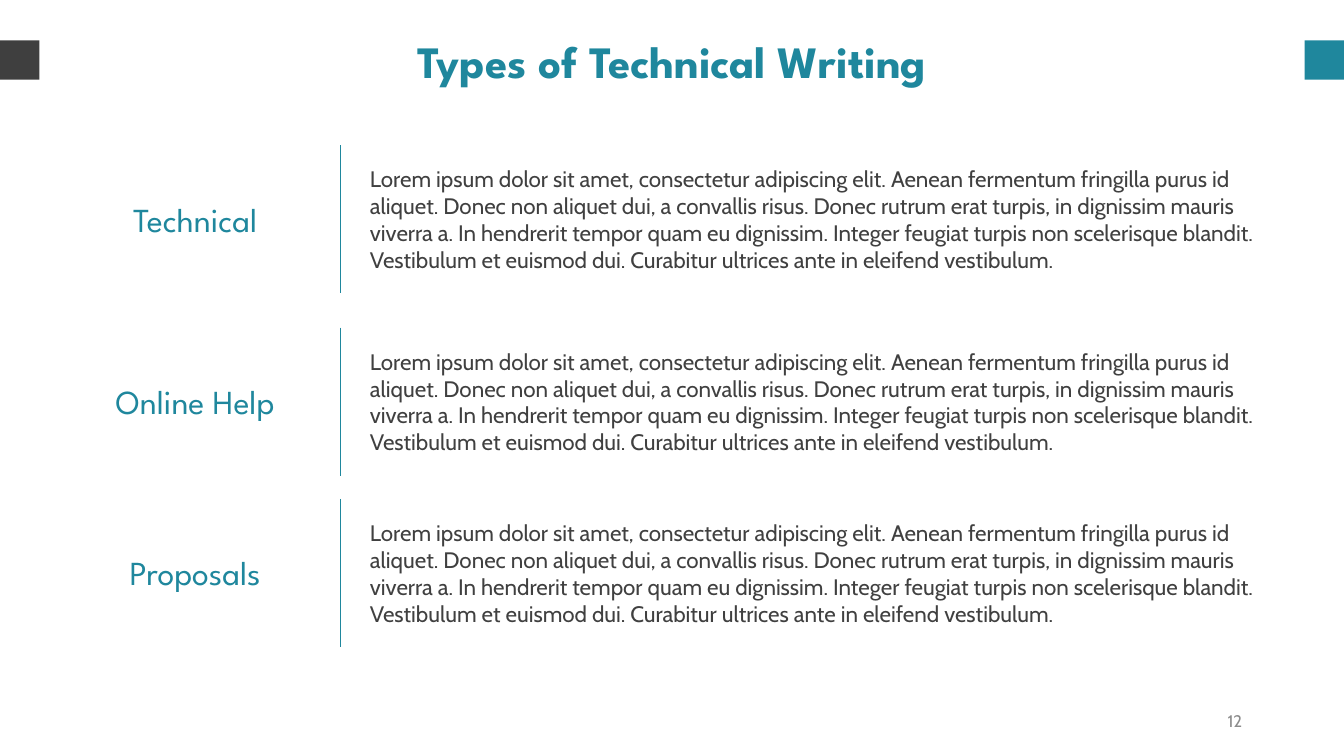
"""Build the "Types of Technical Writing" slide with three labelled descriptions."""
from dataclasses import dataclass

from pptx import Presentation, util as u
from pptx.dml.color import RGBColor
from pptx.enum import shapes, text
from pptx.oxml.ns import qn

TEAL, CHARCOAL, BODY_GREY, NUMBER_GREY = "1F879D", "3F3F3F", "404040", "8C8C8C"
HEADING_FONT, BODY_FONT = "League Spartan", "Cabin"
LEFT, CENTER, RIGHT = text.PP_ALIGN.LEFT, text.PP_ALIGN.CENTER, text.PP_ALIGN.RIGHT
SLIDE_W, SLIDE_H = 13.33, 7.5
DIVIDER_X, DIVIDER_H = 3.38, 1.47
TAB_TOP, TAB_SIZE = 0.4, 0.39
DESCRIPTION = (
    "Lorem ipsum dolor sit amet, consectetur adipiscing elit. Aenean fermentum "
    "fringilla purus id aliquet. Donec non aliquet dui, a convallis risus. Donec "
    "rutrum erat turpis, in dignissim mauris viverra a. In hendrerit tempor quam eu "
    "dignissim. Integer feugiat turpis non scelerisque blandit. Vestibulum et euismod "
    "dui. Curabitur ultrices ante in eleifend vestibulum."
)


@dataclass(frozen=True)
class Style:
    font: str
    size: int
    color: str
    align: text.PP_ALIGN
    bold: bool = False


@dataclass(frozen=True)
class WritingType:
    label: str
    top: float


@dataclass(frozen=True)
class Tab:
    left: float
    color: str


TITLE = Style(HEADING_FONT, 32, TEAL, CENTER, True)
LABEL = Style(HEADING_FONT, 24, TEAL, CENTER)
BODY = Style(BODY_FONT, 16, BODY_GREY, LEFT)
NUMBER = Style(BODY_FONT, 12, NUMBER_GREY, RIGHT)

TYPES = [
    WritingType("Technical", 1.44),
    WritingType("Online Help", 3.25),
    WritingType("Proposals", 4.95),
]
TABS = [Tab(SLIDE_W - TAB_SIZE, TEAL), Tab(0, CHARCOAL)]


def rgb(color: str) -> RGBColor:
    return RGBColor.from_string(color)


def write(sp, content: str, style: Style) -> None:
    tf = sp.text_frame
    tf.text = content
    tf.word_wrap = True
    tf.auto_size = text.MSO_AUTO_SIZE.NONE
    tf.vertical_anchor = text.MSO_ANCHOR.TOP
    tf.margin_left = tf.margin_top = tf.margin_right = tf.margin_bottom = 0
    p = tf.paragraphs[0]
    p.alignment = style.align
    font = p.runs[0].font
    font.name, font.size, font.bold = style.font, u.Pt(style.size), style.bold
    font.color.rgb = rgb(style.color)


def add_text(slide, box: tuple[float, ...], content: str, style: Style):
    sp = slide.shapes.add_textbox(*map(u.Inches, box))
    write(sp, content, style)
    return sp


def add_tab(slide, tab: Tab) -> None:
    box = (tab.left, TAB_TOP, TAB_SIZE, TAB_SIZE)
    sp = slide.shapes.add_shape(shapes.MSO_SHAPE.RECTANGLE, *map(u.Inches, box))
    sp.shadow.inherit = False
    sp.fill.solid()
    sp.fill.fore_color.rgb = rgb(tab.color)
    sp.line.fill.background()


def add_divider(slide, top: float) -> None:
    ends = (DIVIDER_X, top, DIVIDER_X, top + DIVIDER_H)
    line = slide.shapes.add_connector(shapes.MSO_CONNECTOR.STRAIGHT, *map(u.Inches, ends))
    line.line.color.rgb = rgb(TEAL)
    line.line.width = u.Pt(0.5)
    sp_pr = line._element.spPr
    sp_pr.append(sp_pr.makeelement(qn("a:effectLst"), {}))


def add_writing_type(slide, item: WritingType) -> None:
    add_text(slide, (3.67, item.top + 0.2, 8.87, 1.08), DESCRIPTION, BODY)
    add_divider(slide, item.top)
    add_text(slide, (0.79, item.top + 0.53, 2.29, 0.4), item.label, LABEL)


def main() -> None:
    prs = Presentation()
    prs.slide_width, prs.slide_height = u.Inches(SLIDE_W), u.Inches(SLIDE_H)
    slide = prs.slides.add_slide(prs.slide_layouts.get_by_name("Title Only"))

    title = slide.shapes.title
    title.left, title.top, title.width, title.height = map(u.Inches, (0.68, 0.33, 11.97, 0.54))
    write(title, "Types of Technical Writing", TITLE)

    for tab in TABS:
        add_tab(slide, tab)

    number = add_text(slide, (9.42, 6.95, 3, 0.4), "12", NUMBER)
    number.text_frame.margin_right = u.Inches(0.1)
    number.text_frame.vertical_anchor = text.MSO_ANCHOR.MIDDLE

    for item in TYPES:
        add_writing_type(slide, item)

    prs.save("out.pptx")


if __name__ == "__main__":
    main()
